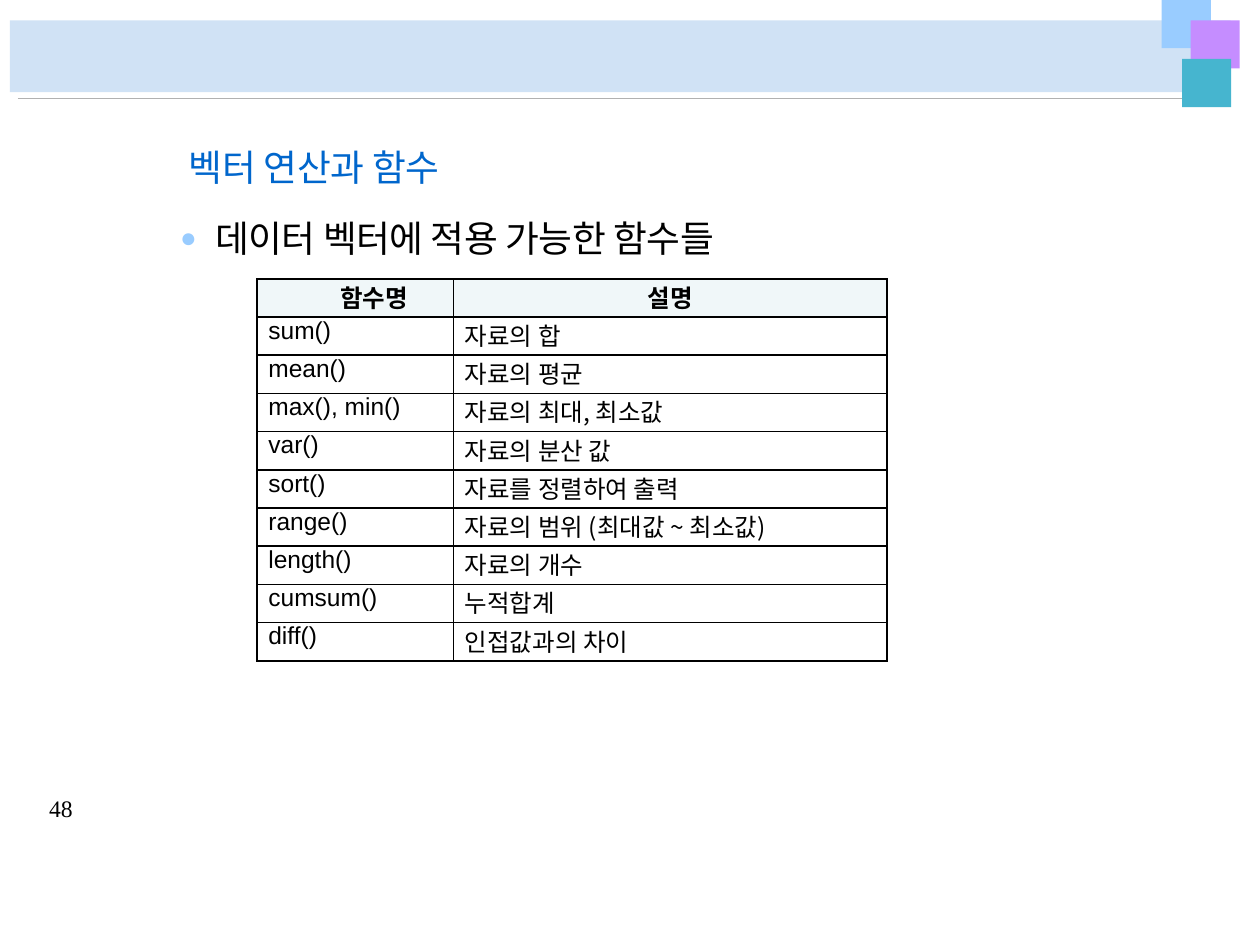
"""Build the slide listing functions that apply to data vectors."""
from lxml import etree
from pptx import Presentation
from pptx.dml.color import RGBColor
from pptx.enum.shapes import MSO_CONNECTOR, MSO_SHAPE
from pptx.enum.text import PP_ALIGN
from pptx.oxml import parse_xml
from pptx.oxml.ns import nsdecls, qn
from pptx.util import Cm, Pt

RECTANGLE = MSO_SHAPE.RECTANGLE
STRAIGHT = MSO_CONNECTOR.STRAIGHT
LEFT, CENTER = PP_ALIGN.LEFT, PP_ALIGN.CENTER

TITLE = "벡터 연산과 함수"
TOPIC = "데이터 벡터에 적용 가능한 함수들"
PAGE_NUMBER = "48"
HEADER = ("함수명", "설명")
FUNCTIONS = [
    ("sum()", "자료의 합"),
    ("mean()", "자료의 평균"),
    ("max(), min()", "자료의 최대, 최소값"),
    ("var()", "자료의 분산 값"),
    ("sort()", "자료를 정렬하여 출력"),
    ("range()", "자료의 범위 (최대값 ~ 최소값)"),
    ("length()", "자료의 개수"),
    ("cumsum()", "누적합계"),
    ("diff()", "인접값과의 차이"),
]

THEME = {
    "band": "D0E2F5", "rule": "B1B1B1", "sky": "99CCFF", "violet": "C58DFF",
    "teal": "46B5CF", "title": "0066CC", "ink": "000000", "header": "F0F7F9",
    "korean": "Noto Sans CJK KR", "latin": "Arial", "serif": "Times New Roman",
    "heading_size": 21, "table_size": 14, "number_size": 13.5,
}

BLOCKS = [
    (0.2, 0.41, 24.61, 1.45, "band"),
    (23.42, 0, 0.99, 0.97, "sky"),
    (24, 0.41, 0.99, 0.97, "violet"),
    (23.83, 1.19, 0.99, 0.97, "teal"),
]
RULE = (0.36, 1.98, 23.83, 1.98)
COLUMN_WIDTHS = (3.96, 8.74)
ROW_HEIGHT = 0.77
CELL_INDENT = 0.23
NAME_HEADER_INDENT = 1.68
BULLET_INDENT = 0.71


def rgb(color):
    return RGBColor.from_string(THEME[color])


def add_block(page, left, top, width, height, color):
    block = page.shapes.add_shape(RECTANGLE, Cm(left), Cm(top), Cm(width), Cm(height))
    block.shadow.inherit = False
    block.fill.solid()
    block.fill.fore_color.rgb = rgb(color)
    block.line.fill.background()


def add_rule(page):
    rule = page.shapes.add_connector(STRAIGHT, *map(Cm, RULE))
    rule.line.color.rgb = rgb("rule")
    rule.line.width = Pt(0.5)
    etree.SubElement(rule._element.spPr, qn("a:effectLst"))


def write(para, text, font, size, color="ink", bold=False, spacing=0):
    span = para.add_run()
    span.text = text
    look = {"name": THEME[font], "size": Pt(THEME[size]), "bold": bold}
    for name, value in look.items():
        setattr(span.font, name, value)
    span.font.color.rgb = rgb(color)
    properties = span._r.get_or_add_rPr()
    properties.set("spc", str(spacing))
    etree.SubElement(properties, qn("a:ea"), typeface=THEME[font])


def add_text_box(page, left, top, width, height):
    box = page.shapes.add_textbox(Cm(left), Cm(top), Cm(width), Cm(height))
    frame = box.text_frame
    layout = {"word_wrap": True, "margin_left": 0, "margin_right": 0,
              "margin_top": 0, "margin_bottom": 0}
    for name, value in layout.items():
        setattr(frame, name, value)
    return frame


def add_bullet(para):
    properties = para._p.get_or_add_pPr()
    properties.set("marL", str(Cm(BULLET_INDENT)))
    properties.set("indent", str(-Cm(BULLET_INDENT)))
    for markup in (
        f'<a:buClr {nsdecls("a")}><a:srgbClr val="{THEME["sky"]}"/></a:buClr>',
        f'<a:buSzPct {nsdecls("a")} val="75000"/>',
        f'<a:buFont {nsdecls("a")} typeface="{THEME["latin"]}"/>',
        f'<a:buChar {nsdecls("a")} char="●"/>',
    ):
        properties.append(parse_xml(markup))


def add_headings(page):
    frame = add_text_box(page, 3.63, 2.92, 12.19, 2.34)
    title = frame.paragraphs[0]
    title._p.get_or_add_pPr().set("marL", str(Cm(0.18)))
    write(title, TITLE, "korean", "heading_size", "title", spacing=-20)
    topic = frame.add_paragraph()
    add_bullet(topic)
    topic.space_before = Pt(15.4)
    write(topic, TOPIC, "korean", "heading_size", spacing=-25)


def add_borders(cell):
    properties = cell._tc.get_or_add_tcPr()
    for side in "LRTB":
        properties.append(parse_xml(
            f'<a:ln{side} {nsdecls("a")} w="{Pt(1)}"><a:solidFill>'
            f'<a:srgbClr val="{THEME["ink"]}"/></a:solidFill></a:ln{side}>'))


def fill_cell(cell, text, is_header, is_name):
    add_borders(cell)
    if is_header:
        cell.fill.solid()
        cell.fill.fore_color.rgb = rgb("header")
    else:
        cell.fill.background()
    indent = CELL_INDENT
    if is_header:
        indent = NAME_HEADER_INDENT if is_name else 0
    margins = {"margin_left": Cm(indent), "margin_right": 0,
               "margin_top": 0, "margin_bottom": 0}
    for name, value in margins.items():
        setattr(cell, name, value)
    para = cell.text_frame.paragraphs[0]
    para.alignment = CENTER if is_header and not is_name else LEFT
    font = "latin" if is_name and not is_header else "korean"
    write(para, text, font, "table_size", bold=is_header, spacing=-10 if is_header else 0)


def add_function_table(page):
    rows = [HEADER, *FUNCTIONS]
    table = page.shapes.add_table(
        len(rows), len(HEADER), Cm(5.18), Cm(5.62),
        Cm(sum(COLUMN_WIDTHS)), Cm(ROW_HEIGHT * len(rows))).table
    table.first_row = table.horz_banding = False
    for column, width in zip(table.columns, COLUMN_WIDTHS):
        column.width = Cm(width)
    for row_index, row in enumerate(rows):
        table.rows[row_index].height = Cm(ROW_HEIGHT)
        for column_index, text in enumerate(row):
            fill_cell(table.cell(row_index, column_index), text,
                      row_index == 0, column_index == 0)


def main():
    deck = Presentation()
    deck.slide_width, deck.slide_height = Cm(25.4), Cm(19.05)
    page = deck.slides.add_slide(deck.slide_layouts[6])
    add_block(page, *BLOCKS[0])
    add_rule(page)
    for block in BLOCKS[1:]:
        add_block(page, *block)
    add_headings(page)
    number = add_text_box(page, 0.99, 16, 0.6, 0.58).paragraphs[0]
    write(number, PAGE_NUMBER, "serif", "number_size")
    add_function_table(page)
    deck.save("out.pptx")


if __name__ == "__main__":
    main()
